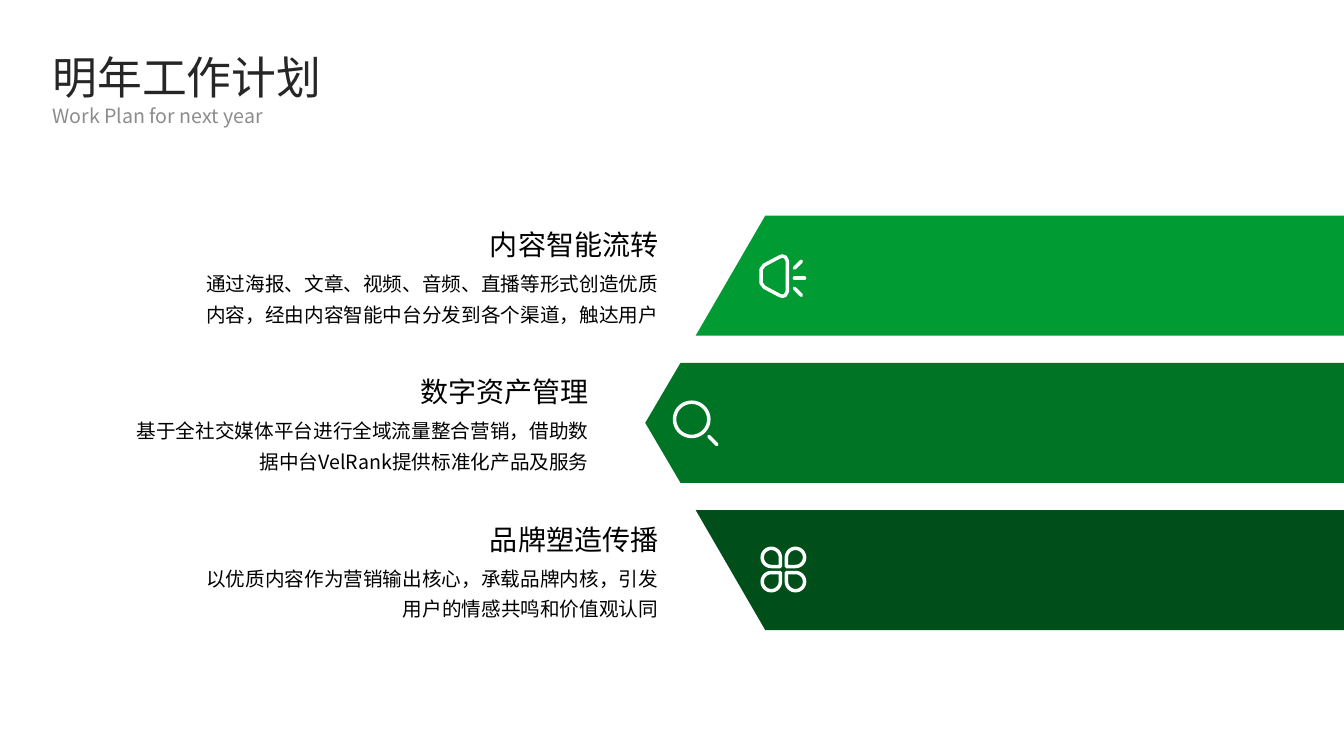
"""Build the next-year work plan slide with three green bands."""
from dataclasses import dataclass
from itertools import product
from math import cos, radians, sin
from typing import Callable

from lxml.etree import SubElement
from pptx import Presentation
from pptx.dml.color import RGBColor
from pptx.dml.fill import FillFormat
from pptx.enum.text import MSO_AUTO_SIZE, PP_ALIGN
from pptx.oxml.ns import qn
from pptx.shapes.autoshape import Shape
from pptx.shapes.shapetree import SlideShapes
from pptx.util import Inches, Pt

FONT = "Noto Sans CJK JP"
WHITE, BLACK = "FFFFFF", "000000"
SLIDE_W, SLIDE_H = 13.33, 7.5
BAND_TOP, BAND_H, BAND_PITCH = 2.14, 1.19, 1.46
BODY_W, TITLE_W = 4.51, 2.36
STROKE = 2.5

Points = list[tuple[float, float]]


@dataclass(frozen=True)
class Contour:
    points: Points
    closed: bool = True


@dataclass(frozen=True)
class Band:
    title: str
    body: str
    color: str
    left_edge: Points
    text_right: float
    icon: Callable[[float], list[Contour]]


def paint(fill: FillFormat, color: str) -> None:
    fill.solid()
    fill.fore_color.rgb = RGBColor.from_string(color)


def add_text(shapes: SlideShapes, text: str, left: float, top: float, width: float,
             height: float, size: float, color: str, align: PP_ALIGN = PP_ALIGN.LEFT,
             spacing: float | None = None, alpha: int = 100) -> None:
    tf = shapes.add_textbox(Inches(left), Inches(top), Inches(width), Inches(height)).text_frame
    tf.margin_left = tf.margin_right = tf.margin_top = tf.margin_bottom = 0
    tf.word_wrap = True
    tf.auto_size = MSO_AUTO_SIZE.SHAPE_TO_FIT_TEXT
    p = tf.paragraphs[0]
    p.text = text
    p.alignment = align
    if spacing:
        p.line_spacing = spacing
    p.font.size = Pt(size)
    p.font.name = FONT
    paint(p.font.fill, color)
    props = p._p.pPr.find(qn("a:defRPr"))
    SubElement(props, qn("a:ea")).set("typeface", FONT)
    if alpha < 100:
        rgb = props.find(".//" + qn("a:srgbClr"))
        SubElement(rgb, qn("a:alpha")).set("val", str(alpha * 1000))


def add_outline(shapes: SlideShapes, contours: list[Contour]) -> Shape:
    builder = shapes.build_freeform(scale=1.0)
    for i, contour in enumerate(contours):
        start, *rest = [(Inches(x), Inches(y)) for x, y in contour.points]
        if i == 0:
            builder = shapes.build_freeform(*start, scale=1.0)
        else:
            builder.move_to(*start)
        builder.add_line_segments(rest, close=contour.closed)
    sp = builder.convert_to_shape()
    sp.shadow.inherit = False
    return sp


def add_icon(shapes: SlideShapes, contours: list[Contour]) -> None:
    sp = add_outline(shapes, contours)
    sp.fill.background()
    paint(sp.line.fill, WHITE)
    sp.line.width = Pt(STROKE)
    ln = sp.line._get_or_add_ln()
    ln.set("cap", "rnd")
    SubElement(ln, qn("a:round"))


def arc(radius: float, start: int, end: int) -> Points:
    return [(radius * cos(radians(a)), radius * sin(radians(a)))
            for a in range(start, end + 1, 10)]


def megaphone(top: float) -> list[Contour]:
    axis = top + 0.6
    upper = [(7.55, 0.07), (7.58, 0.11), (7.73, 0.19), (7.76, 0.2), (7.79, 0.19), (7.81, 0.15)]
    horn = [(x, axis - dy) for x, dy in upper] + [(x, axis + dy) for x, dy in reversed(upper)]
    middle = axis + 0.02
    rays = [Contour([(7.88, middle + 0.1 * d), (7.95 if d else 7.98, middle + 0.17 * d)], False)
            for d in (-1, 0, 1)]
    return [Contour(horn), *rays]


def magnifier(top: float) -> list[Contour]:
    lens = [(6.86 + x, top + 0.56 + y) for x, y in arc(0.17, 0, 350)]
    return [Contour(lens), Contour([(7.03, top + 0.73), (7.11, top + 0.81)], False)]


def clover(top: float) -> list[Contour]:
    radius = 0.09
    petal = [(-radius, -radius)] + arc(radius, -90, 180)
    return [Contour([(7.77 + sx * (0.12 + x), top + 0.59 + sy * (0.12 + y)) for x, y in petal])
            for sx, sy in product((-1, 1), repeat=2)]


BANDS = [
    Band("内容智能流转",
         "通过海报、文章、视频、音频、直播等形式创造优质内容，经由内容智能中台分发到各个渠道，触达用户",
         "009B32", [(6.9, BAND_H), (7.59, 0)], 6.53, megaphone),
    Band("数字资产管理",
         "基于全社交媒体平台进行全域流量整合营销，借助数据中台VelRank提供标准化产品及服务",
         "007425", [(6.75, BAND_H), (6.4, BAND_H / 2), (6.75, 0)], 5.84, magnifier),
    Band("品牌塑造传播",
         "以优质内容作为营销输出核心，承载品牌内核，引发用户的情感共鸣和价值观认同",
         "004E19", [(7.59, BAND_H), (6.9, 0)], 6.53, clover),
]


def draw_band(shapes: SlideShapes, band: Band, top: float) -> None:
    edge = band.left_edge + [(SLIDE_W, 0), (SLIDE_W, BAND_H)]
    sp = add_outline(shapes, [Contour([(x, top + y) for x, y in edge])])
    paint(sp.fill, band.color)
    sp.line.fill.background()
    add_icon(shapes, band.icon(top))
    add_text(shapes, band.title, band.text_right - TITLE_W, top + 0.12, TITLE_W, 0.34,
             20, BLACK, PP_ALIGN.RIGHT)
    add_text(shapes, band.body, band.text_right - BODY_W, top + 0.49, BODY_W, 0.59,
             14, BLACK, PP_ALIGN.RIGHT, spacing=1.3)


def main() -> None:
    prs = Presentation()
    prs.slide_width, prs.slide_height = Inches(SLIDE_W), Inches(SLIDE_H)
    shapes = prs.slides.add_slide(prs.slide_layouts[6]).shapes
    add_text(shapes, "明年工作计划", 0.52, 0.49, 2.68, 0.54, 32, "262626")
    add_text(shapes, "Work Plan for next year", 0.52, 1.03, 3.16, 0.24, 14, "404040", alpha=60)
    for i, band in enumerate(BANDS):
        draw_band(shapes, band, BAND_TOP + i * BAND_PITCH)
    prs.save("out.pptx")


if __name__ == "__main__":
    main()
